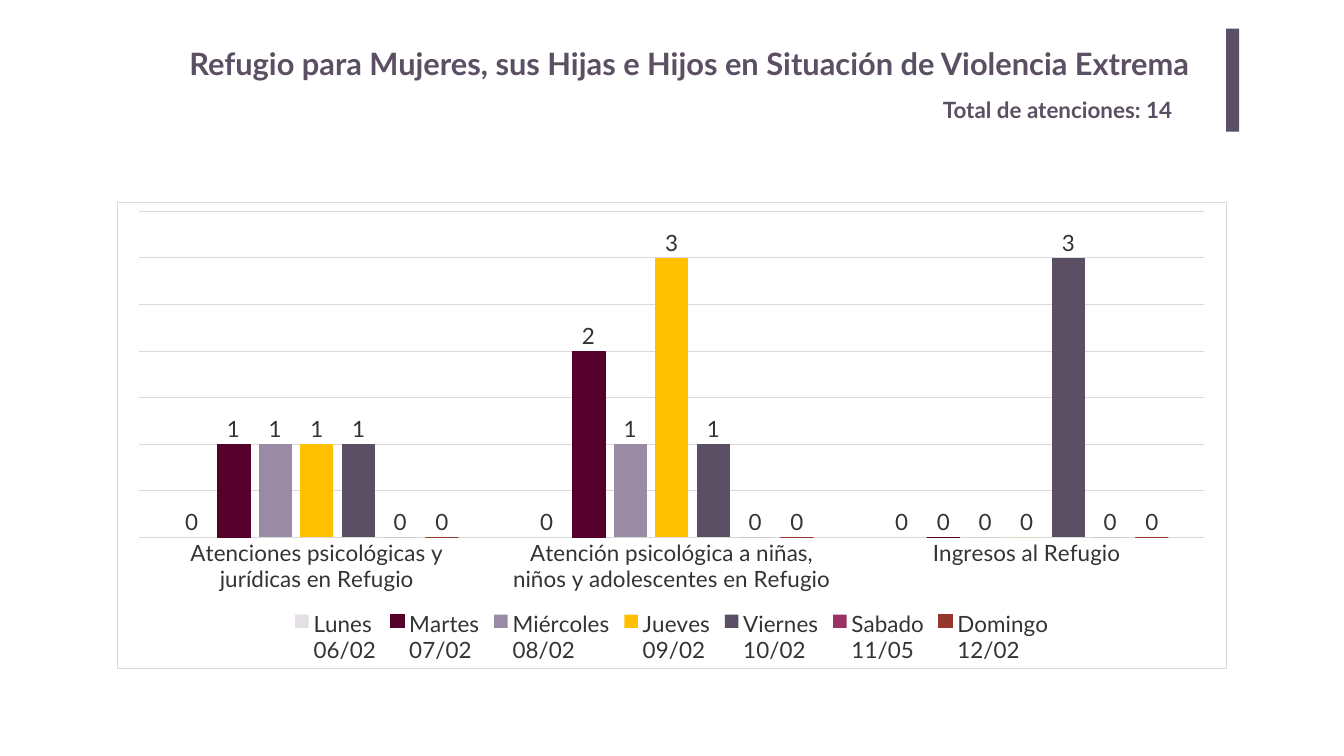
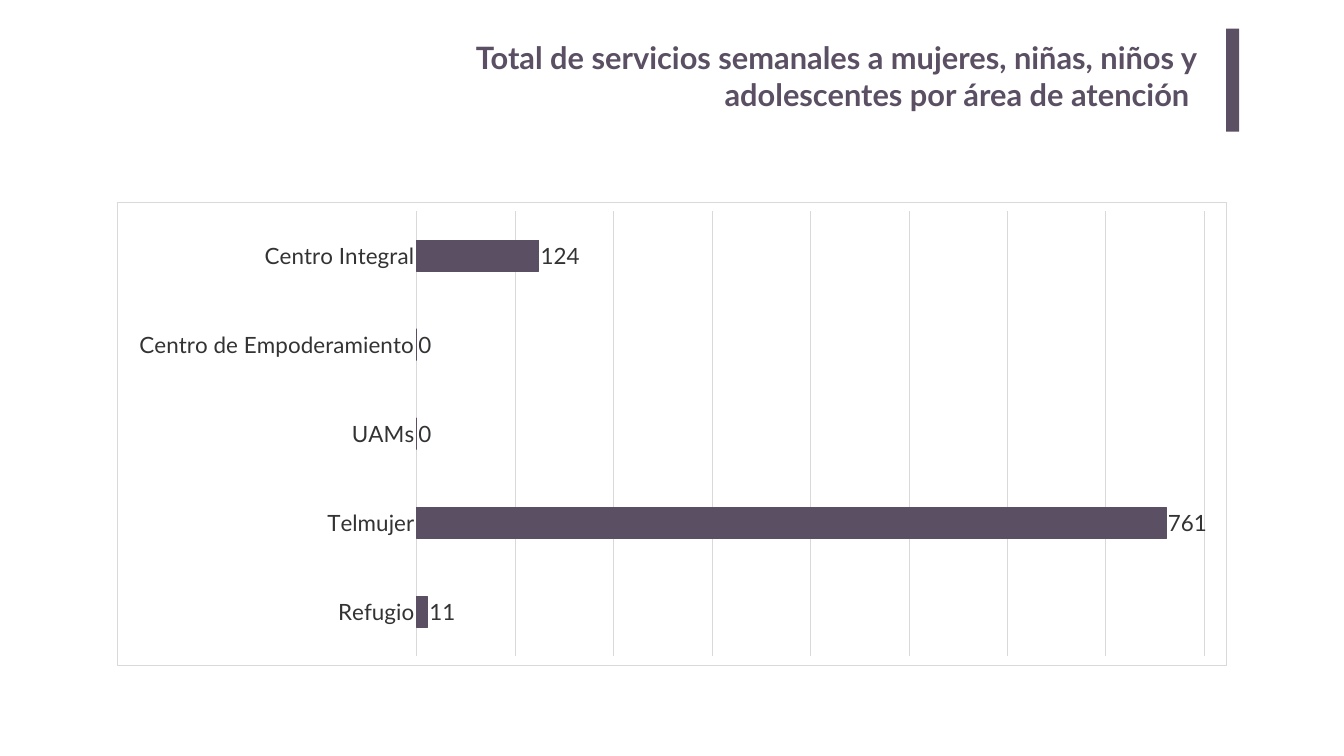
from lxml.etree import SubElement
from pptx import Presentation
from pptx.chart.data import CategoryChartData
from pptx.dml.color import RGBColor
from pptx.enum.chart import XL_CHART_TYPE as ChartType
from pptx.enum.chart import XL_LABEL_POSITION as LabelPosition
from pptx.enum.chart import XL_LEGEND_POSITION as LegendPosition
from pptx.enum.chart import XL_TICK_LABEL_POSITION as TickLabels
from pptx.enum.chart import XL_TICK_MARK as TickMark
from pptx.enum.shapes import MSO_SHAPE as Shape
from pptx.enum.text import MSO_AUTO_SIZE as AutoSize
from pptx.enum.text import PP_ALIGN as Align
from pptx.oxml import parse_xml
from pptx.oxml.ns import nsdecls, qn
from pptx.util import Inches, Pt

FONT = "Lato"
PLUM, WINE, BRICK = "5B4F63", "54002A", "95372B"
TEXT, RULE, WHITE = "333333", "D9D9D9", "FFFFFF"
TITLE_SIZE, LABEL_SIZE, HAIRLINE = Pt(44), Pt(32), Pt(0.75)

deck = Presentation()
deck.slide_width, deck.slide_height = Inches(26.67), Inches(15)
column, row = deck.slide_width / 100, deck.slide_height / 100


def place(left, top, width, height):
    return (round(left * column), round(top * row),
            round(width * column), round(height * row))


def tint(target, color):
    if hasattr(target, "solid"):
        target.solid()
        target = target.fore_color
    target.rgb = RGBColor.from_string(color)


pages = [
    {
        "texts": [
            ("Total de atenciones: 14", (69.78, 12.33, 20.06, 4.27), LABEL_SIZE, Align.LEFT, 0.1),
            ("Refugio para Mujeres, sus Hijas e Hijos en Situación de Violencia Extrema",
             (13.72, 5.6, 77.73, 5.6), TITLE_SIZE, Align.LEFT, 0.1),
        ],
        "kind": ChartType.COLUMN_CLUSTERED,
        "height": 61.73,
        "categories": [
            "Atenciones psicológicas y jurídicas en Refugio",
            "Atención psicológica a niñas, niños y adolescentes en Refugio",
            "Ingresos al Refugio",
        ],
        "series": [
            ("Lunes\n06/02", (0, 0, 0), "E3DFE5", False),
            ("Martes\n07/02", (1, 2, 0), WINE, True),
            ("Miércoles\n08/02", (1, 1, 0), "998BA3", False),
            ("Jueves\n09/02", (1, 3, 0), "FFC000", False),
            ("Viernes\n10/02", (1, 1, 3), PLUM, False),
            ("Sabado\n11/05", (0, 0, 0), "993366", False),
            ("Domingo\n12/02", (0, 0, 0), BRICK, True),
        ],
        "gap": 219, "overlap": -27, "top_value": 3.5, "step": 0.5,
        "legend": True, "reverse": False,
    },
    {
        "texts": [
            ("Total de servicios semanales a mujeres, niñas, niños y adolescentes por área de atención ",
             (24.6, 4.47, 65.24, 13.6), TITLE_SIZE, Align.RIGHT, 0.2),
        ],
        "kind": ChartType.BAR_CLUSTERED,
        "height": 61.4,
        "categories": ["Centro Integral", "Centro de Empoderamiento", "UAMs", "Telmujer", "Refugio"],
        "series": [("Series 1", (124, 0, 0, 761, 11), PLUM, True)],
        "gap": 182, "overlap": 0, "top_value": 800, "step": 100,
        "legend": False, "reverse": True,
    },
]

for content in pages:
    page = deck.slides.add_slide(deck.slide_layouts[6])
    tint(page.background.fill, WHITE)

    band = page.shapes.add_shape(Shape.RECTANGLE, *place(91.23, 3.8, 0.97, 13.6))
    band.shadow.inherit = False
    tint(band.fill, PLUM)
    band.line.fill.background()

    for words, area, size, align, inset in content["texts"]:
        box = page.shapes.add_textbox(*place(*area))
        frame = box.text_frame
        frame.word_wrap = True
        frame.auto_size = AutoSize.SHAPE_TO_FIT_TEXT if align == Align.LEFT else AutoSize.NONE
        frame.margin_left = frame.margin_right = Inches(inset)
        frame.margin_top = frame.margin_bottom = Inches(inset / 2)
        para = frame.paragraphs[0]
        para.alignment = align
        span = para.add_run()
        span.text = words
        span.font.name, span.font.size, span.font.bold = FONT, size, True
        tint(span.font.color, PLUM)

    data = CategoryChartData(number_format="General")
    data.categories = content["categories"]
    for name, values, color, outlined in content["series"]:
        data.add_series(name, values)
    chart = page.shapes.add_chart(
        content["kind"], *place(8.7, 26.67, 82.57, content["height"]), data).chart
    chart.has_title = False
    chart.font.name, chart.font.size = FONT, LABEL_SIZE
    tint(chart.font.color, TEXT)

    frame_style = parse_xml(f"<c:spPr {nsdecls('c', 'a')}/>")
    fill = SubElement(frame_style, qn("a:solidFill"))
    SubElement(fill, qn("a:srgbClr"), val=WHITE)
    border = SubElement(frame_style, qn("a:ln"), w=str(HAIRLINE))
    border_fill = SubElement(border, qn("a:solidFill"))
    SubElement(border_fill, qn("a:srgbClr"), val=RULE)
    chart.element.find(qn("c:txPr")).addprevious(frame_style)

    category_axis, value_axis = chart.category_axis, chart.value_axis
    category_axis.major_tick_mark = category_axis.minor_tick_mark = TickMark.NONE
    category_axis.tick_label_position = TickLabels.NEXT_TO_AXIS
    category_axis.has_major_gridlines = False
    category_axis.reverse_order = content["reverse"]
    value_axis.visible = False
    value_axis.has_major_gridlines = True
    value_axis.minimum_scale, value_axis.maximum_scale = 0, content["top_value"]
    value_axis.major_unit = content["step"]
    for line in (category_axis.format.line, value_axis.major_gridlines.format.line):
        tint(line.fill, RULE)
        line.width = HAIRLINE

    chart.has_legend = content["legend"]
    if content["legend"]:
        chart.legend.position = LegendPosition.BOTTOM
        chart.legend.include_in_layout = False
        chart.legend.font.name, chart.legend.font.size = FONT, LABEL_SIZE
        tint(chart.legend.font.color, TEXT)

    plot = chart.plots[0]
    plot.vary_by_categories = False
    plot.gap_width, plot.overlap = content["gap"], content["overlap"]
    for series, (name, values, color, outlined) in zip(plot.series, content["series"]):
        series.invert_if_negative = False
        tint(series.format.fill, color)
        if outlined:
            tint(series.format.line.fill, color)
            series.format.line.width = HAIRLINE
        else:
            series.format.line.fill.background()
        labels = series.data_labels
        labels.show_value = True
        labels.position = LabelPosition.OUTSIDE_END
        labels.font.name, labels.font.size = FONT, LABEL_SIZE
        tint(labels.font.color, TEXT)

deck.save("out.pptx")
